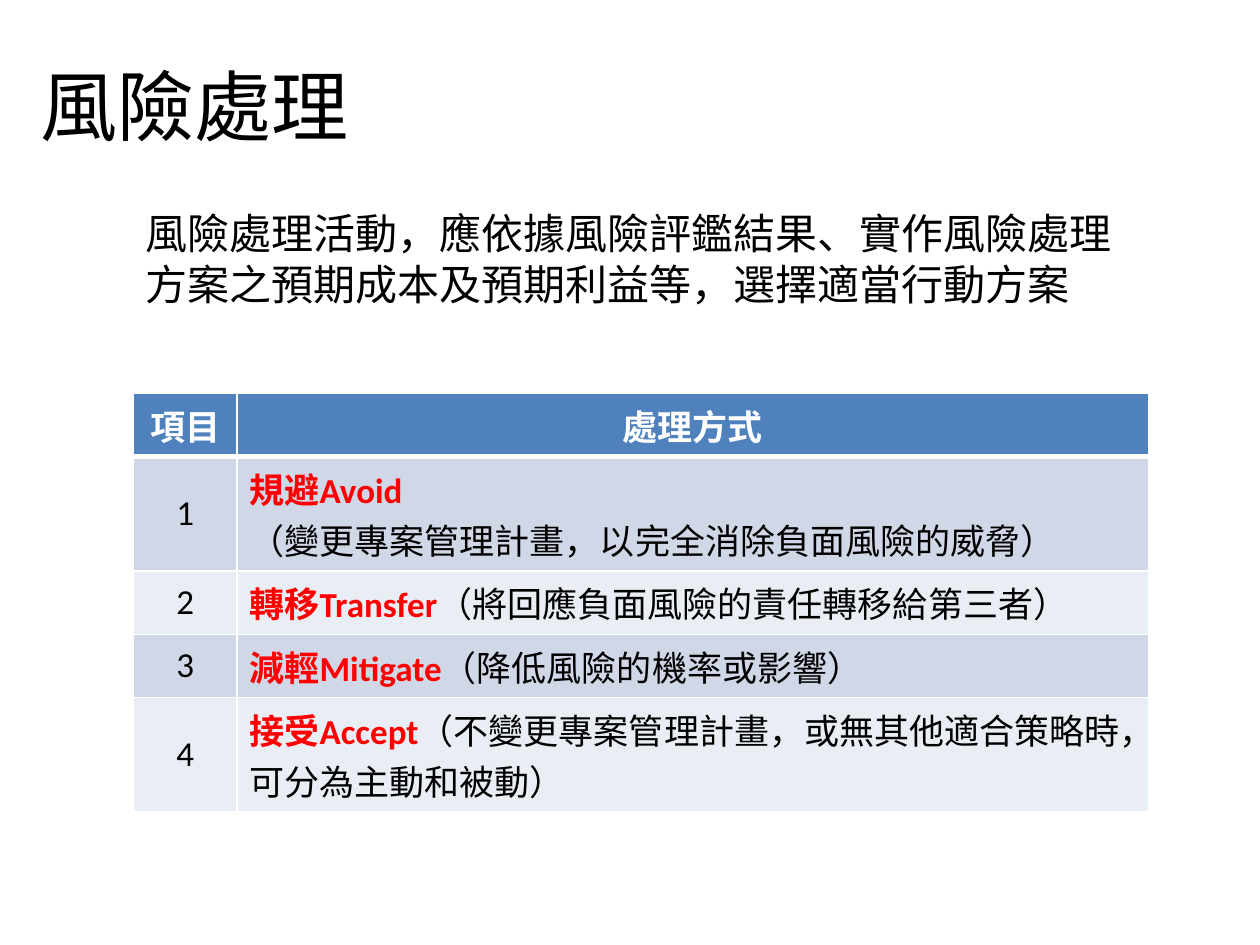
from pptx import Presentation, util as u
from pptx.dml.color import RGBColor
from pptx.enum import text
from pptx.oxml import parse_xml
from pptx.oxml.ns import nsdecls

BLACK = RGBColor(0, 0, 0)
WHITE = RGBColor(255, 255, 255)
RED = RGBColor(255, 0, 0)
HEADER = RGBColor(0x4F, 0x81, 0xBD)
BANDS = [RGBColor(0xD0, 0xD8, 0xE8), RGBColor(0xE9, 0xED, 0xF4)]

TITLE = "風險處理"
INTRO = ("風險處理活動，應依據風險評鑑結果、實作風險處理方案之預期成本及預期利益等，"
         "選擇適當行動方案")
HEADINGS = ["項目", "處理方式"]
# strategy, explanation, explanation on its own line
STRATEGIES = [
    ("規避Avoid", "（變更專案管理計畫，以完全消除負面風險的威脅）", True),
    ("轉移Transfer", "（將回應負面風險的責任轉移給第三者）", False),
    ("減輕Mitigate", "（降低風險的機率或影響）", False),
    ("接受Accept", "（不變更專案管理計畫，或無其他適合策略時，可分為主動和被動）", False),
]
LEFT = 1.06
COLUMNS = [0.82, 7.24]
ROW = 0.41


def box(*inches):
    return [u.Inches(v) for v in inches]


def add_run(p, words, size, color=BLACK, bold=False):
    r = p.add_run()
    r.text = words
    for name, value in {"size": u.Pt(size), "bold": bold, "name": "Calibri"}.items():
        setattr(r.font, name, value)
    r.font.color.rgb = color


def style_cell(cell, fill, bottom=1):
    tcPr = cell._tc.get_or_add_tcPr()
    for side, width in {"L": 1, "R": 1, "T": 1, "B": bottom}.items():
        tcPr.append(parse_xml(
            f'<a:ln{side} {nsdecls("a")} w="{u.Pt(width)}"><a:solidFill>'
            f'<a:srgbClr val="{WHITE}"/></a:solidFill></a:ln{side}>'))
    cell.fill.solid()
    cell.fill.fore_color.rgb = fill


def centre(cell):
    cell.vertical_anchor = text.MSO_ANCHOR.MIDDLE
    p = cell.text_frame.paragraphs[0]
    p.alignment = text.PP_ALIGN.CENTER
    return p


prs = Presentation()
prs.slide_width, prs.slide_height = box(10, 7.5)
s = prs.slides.add_slide(prs.slide_layouts[5])

# Title
sp = s.shapes.title
sp.left, sp.top, sp.width, sp.height = box(0.2, 0.21, 2.69, 1.25)
p = sp.text_frame.paragraphs[0]
p.alignment = text.PP_ALIGN.CENTER
add_run(p, TITLE, 44)

# Strategy table
table = s.shapes.add_table(len(STRATEGIES) + 1, len(COLUMNS),
                           *box(LEFT, 3.12, sum(COLUMNS), ROW * 5)).table
for column, width in zip(table.columns, COLUMNS):
    column.width = u.Inches(width)
for row in table.rows:
    row.height = u.Inches(ROW)
for cell, heading in zip(table.rows[0].cells, HEADINGS):
    style_cell(cell, HEADER, bottom=3)
    add_run(centre(cell), heading, 20, WHITE, True)
for i, (strategy, explanation, own_line) in enumerate(STRATEGIES, 1):
    number, method = table.rows[i].cells
    for cell in (number, method):
        style_cell(cell, BANDS[(i - 1) % 2])
    add_run(centre(number), str(i), 20)
    tf = method.text_frame
    p = tf.paragraphs[0]
    add_run(p, strategy, 20, RED, True)
    add_run(tf.add_paragraph() if own_line else p, explanation, 20)
# The header's thick rule is also the top edge of the first row
for cell in table.rows[1].cells:
    cell._tc.tcPr.find("{*}lnT").set("w", str(u.Pt(3)))

# Introduction
tf = s.shapes.add_textbox(*box(LEFT, 1.6, 7.87, 0.91)).text_frame
tf.word_wrap = True
tf.auto_size = text.MSO_AUTO_SIZE.SHAPE_TO_FIT_TEXT
add_run(tf.paragraphs[0], INTRO, 24)

prs.save("out.pptx")
